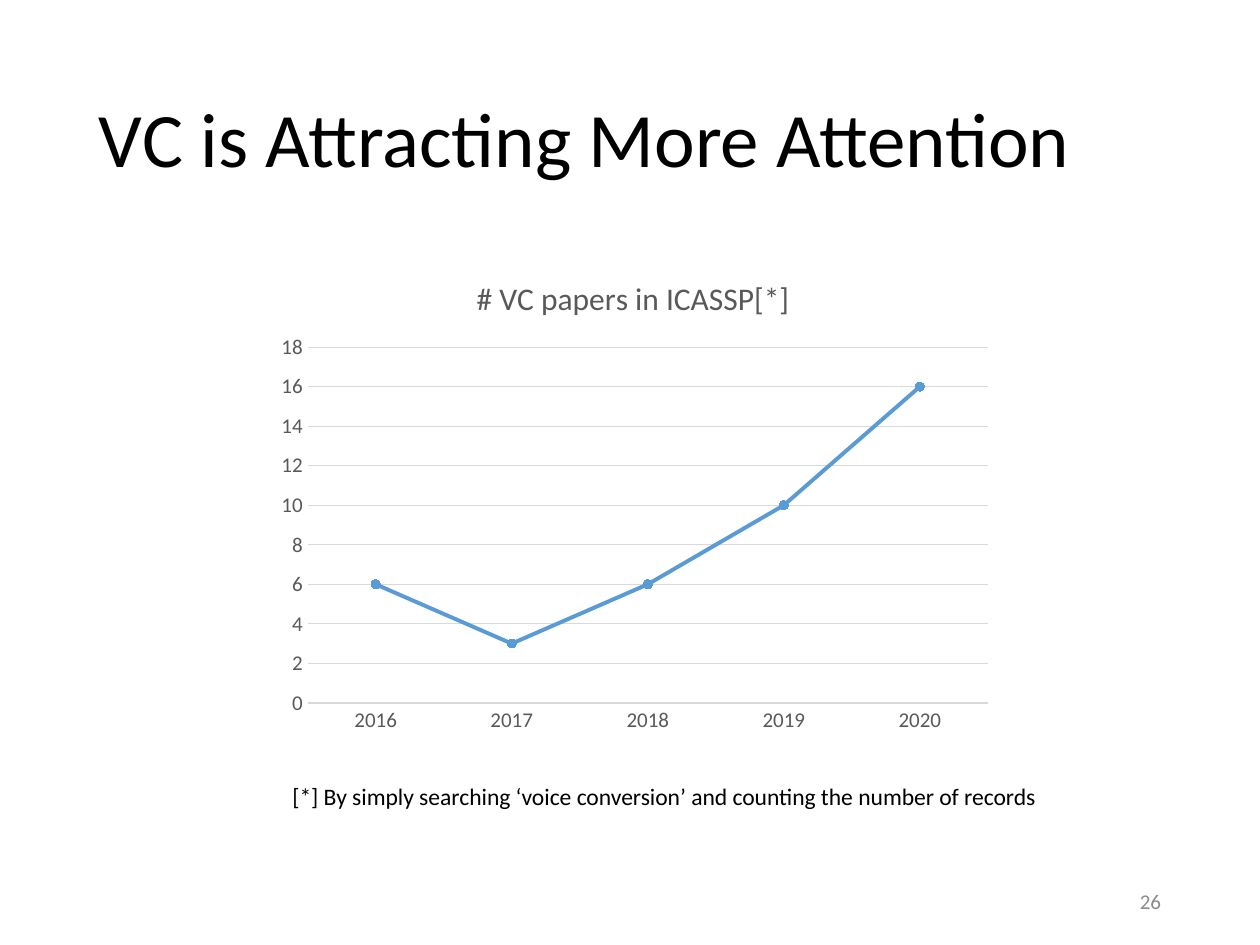
from lxml.etree import SubElement
from pptx import Presentation
from pptx.chart.data import CategoryChartData
from pptx.dml.color import RGBColor
from pptx.enum.chart import XL_CHART_TYPE, XL_MARKER_STYLE, XL_TICK_MARK
from pptx.enum.text import MSO_ANCHOR, PP_ALIGN
from pptx.oxml.ns import qn
from pptx.util import Pt

FONT = "Calibri"
BLACK, GRAY, PAGE_GRAY, GRID, BLUE = "000000", "595959", "8C8C8C", "D9D9D9", "5B9BD5"

HEADING = "VC is Attracting More Attention"
FOOTNOTE = "[*] By simply searching ‘voice conversion’ and counting the number of records"
PAGE_NUMBER = "26"
CHART_HEADING = "# VC papers in ICASSP[*]"
PAPERS = {"2016": 6, "2017": 3, "2018": 6, "2019": 10, "2020": 16}

# text, (left, top, width, height), size, colour, alignment, anchor, line spacing
TEXTS = [
    (HEADING, (49.5, 29, 621, 104.4), 44, BLACK, PP_ALIGN.LEFT, MSO_ANCHOR.MIDDLE, 0.9),
    (FOOTNOTE, (160, 443, 482, 24), 13.5, BLACK, PP_ALIGN.LEFT, MSO_ANCHOR.TOP, 1.0),
    (PAGE_NUMBER, (508.5, 500.5, 162, 29), 12, PAGE_GRAY, PP_ALIGN.RIGHT, MSO_ANCHOR.MIDDLE, 1.0),
]
CHART_BOX = (150.5, 145.5, 422.5, 278.5)
PLOT_AREA = {"x": 0.06, "y": 0.19, "w": 0.92, "h": 0.73}  # fractions of the chart


def rgb(color):
    return RGBColor.from_string(color)


def set_font(font, size, color):
    font.name, font.size, font.bold = FONT, Pt(size), False
    font.color.rgb = rgb(color)


def set_line(line, color, width):
    line.color.rgb = rgb(color)
    line.width = Pt(width)


def add_text(slide, text, box, size, color, align, anchor, spacing):
    frame = slide.shapes.add_textbox(*map(Pt, box)).text_frame
    frame.word_wrap = True
    frame.vertical_anchor = anchor
    paragraph = frame.paragraphs[0]
    paragraph.text = text
    paragraph.alignment = align
    paragraph.line_spacing = spacing
    set_font(paragraph.font, size, color)


def place_plot(chart):
    """Fix the inner plot area within the chart."""
    plot_area = chart.plots[0]._element.getparent()
    layout = plot_area.find(qn("c:layout"))
    if layout is None:
        layout = SubElement(plot_area, qn("c:layout"))
        plot_area.insert(0, layout)
    manual = SubElement(layout, qn("c:manualLayout"))
    settings = {"layoutTarget": "inner", "xMode": "edge", "yMode": "edge", **PLOT_AREA}
    for tag, value in settings.items():
        SubElement(manual, qn(f"c:{tag}")).set("val", str(value))


def add_papers_chart(slide):
    data = CategoryChartData()
    data.categories = list(PAPERS)
    data.add_series(CHART_HEADING, list(PAPERS.values()))
    chart = slide.shapes.add_chart(
        XL_CHART_TYPE.LINE_MARKERS, *map(Pt, CHART_BOX), data).chart
    set_font(chart.font, 10, BLACK)
    chart.has_legend = False
    chart.has_title = True
    heading = chart.chart_title.text_frame.paragraphs[0]
    heading.text = CHART_HEADING
    set_font(heading.font, 18, GRAY)
    chart.chart_title.include_in_layout = False
    place_plot(chart)

    years, counts = chart.category_axis, chart.value_axis
    for axis in (years, counts):
        axis.major_tick_mark = axis.minor_tick_mark = XL_TICK_MARK.NONE
        set_font(axis.tick_labels.font, 12, GRAY)
    set_line(years.format.line, GRID, 0.75)
    counts.format.line.fill.background()
    counts.has_major_gridlines = True
    set_line(counts.major_gridlines.format.line, GRID, 0.75)
    counts.minimum_scale, counts.maximum_scale, counts.major_unit = 0, 18, 2

    chart.plots[0].vary_by_categories = False
    papers = chart.plots[0].series[0]
    papers.smooth = False
    set_line(papers.format.line, BLUE, 2.25)
    marker = papers.marker
    marker.style, marker.size = XL_MARKER_STYLE.CIRCLE, 5
    marker.format.fill.solid()
    marker.format.fill.fore_color.rgb = rgb(BLUE)
    set_line(marker.format.line, BLUE, 0.75)


def main():
    deck = Presentation()
    deck.slide_width, deck.slide_height = Pt(720), Pt(540)
    slide = deck.slides.add_slide(deck.slide_layouts[6])
    for text in TEXTS:
        add_text(slide, *text)
    add_papers_chart(slide)
    deck.save("out.pptx")


if __name__ == "__main__":
    main()
